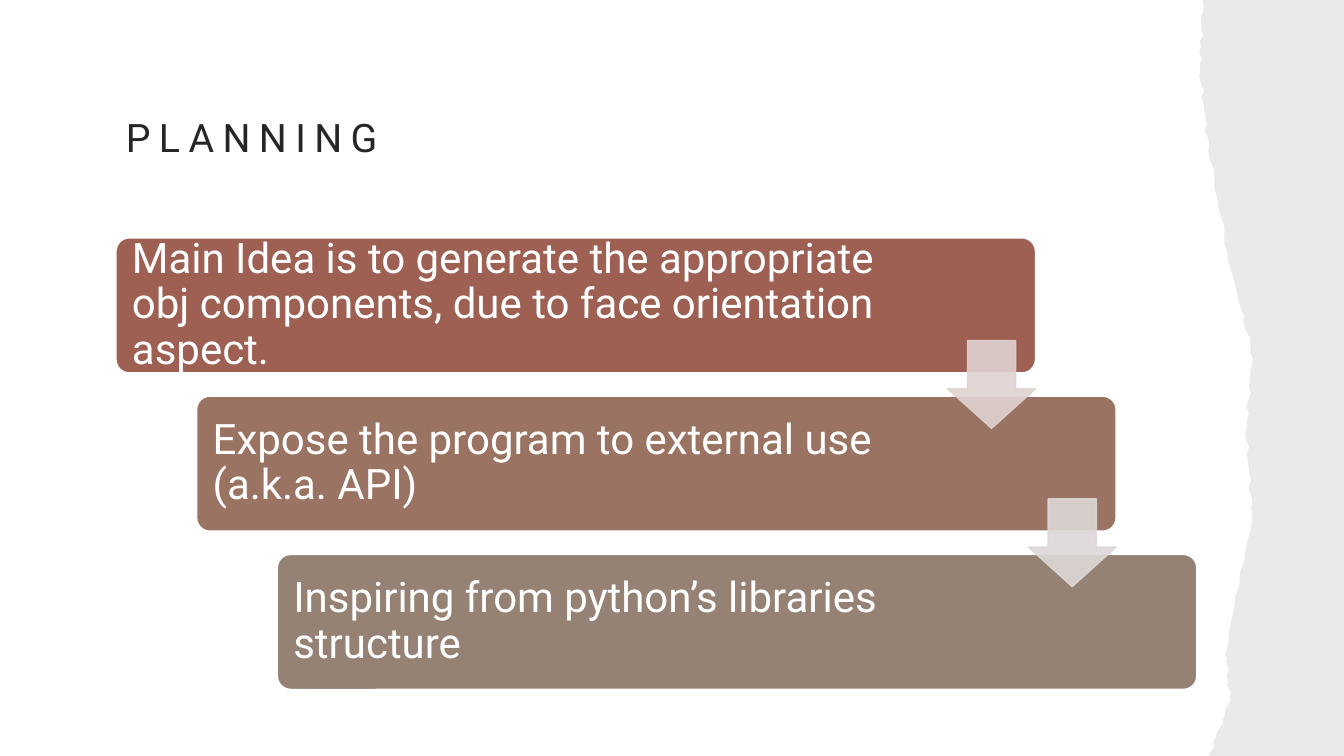
from itertools import pairwise
from math import sin

from lxml import etree
from pptx import Presentation
from pptx.dml.color import RGBColor
from pptx.enum.shapes import MSO_SHAPE
from pptx.enum.text import MSO_ANCHOR, PP_ALIGN
from pptx.oxml.ns import qn
from pptx.util import Inches, Pt

BOX = MSO_SHAPE.ROUNDED_RECTANGLE
ARROW = MSO_SHAPE.DOWN_ARROW
MIDDLE = MSO_ANCHOR.MIDDLE
LEFT = PP_ALIGN.LEFT

WIDTH, HEIGHT = 13.33, 7.5
FONT = "Roboto"
WHITE, INK, PAPER = "FFFFFF", "262626", "82766A"

STEPS = [
    ("Main Idea is to generate the appropriate obj components, "
     "due to face orientation aspect.", "9D6053", 1.5),
    ("Expose the program to external use (a.k.a. API)", "9B7362", 1.8),
    ("Inspiring from python’s libraries structure", "968274", 1.8),
]
ARROWS = ["DFD2D1", "DDD8D6"]
BOX_X, BOX_Y, BOX_W, BOX_H = 1.15, 2.36, 9.12, 1.34
STEP_X, STEP_Y = 0.8, 1.57
SIDE = 0.87
PAD = 0.12

BENDS = [(11.93, 0), (11.9, 0.7), (11.99, 1.5), (12.19, 2.6), (12.42, 3.5),
         (12.36, 4.3), (12.42, 5.1), (12.16, 6.5), (12.2, 6.95), (11.99, 7.5)]
TEETH = 12
ROUGH = 0.01


def paint(fill, color, alpha=100):
    """Give a fill a solid colour with an opacity in percent."""
    fill.solid()
    fill.fore_color.rgb = RGBColor.from_string(color)
    if alpha < 100:
        tint = fill._xPr.find(qn("a:solidFill"))[0]
        etree.SubElement(tint, qn("a:alpha")).set("val", str(alpha * 1000))


def write(shape, text, size, color, space, insets):
    """Put one left-aligned paragraph in a shape and return its run."""
    frame = shape.text_frame
    frame.text = text
    frame.word_wrap = True
    frame.vertical_anchor = MIDDLE
    (frame.margin_left, frame.margin_top,
     frame.margin_right, frame.margin_bottom) = map(Inches, insets)
    para = frame.paragraphs[0]
    para.alignment = LEFT
    para.line_spacing = space
    run = para.runs[0]
    run.font.name = FONT
    run.font.size = Pt(size)
    paint(run.font.fill, color)
    return run


def add_title(slide, text):
    """Add the widely spaced title."""
    box = slide.shapes.add_textbox(
        Inches(1.15), Inches(0.67), Inches(10.4), Inches(1.33))
    run = write(box, text, 28, INK, 1.1, (0.1, 0.05, 0.1, 0.05))
    run.font._element.set("spc", "600")


def tear(bends):
    """Return points along the bends, roughened by two mixed waves."""
    points = []
    for (left, top), (right, low) in pairwise(bends):
        for tooth in range(TEETH):
            part = tooth / TEETH
            y = top + part * (low - top)
            wave = sin(23 * y) + sin(57 * y)
            points.append((left + part * (right - left) + ROUGH * wave, y))
    return points + bends[-1:]


def add_edge(slide):
    """Add the torn paper along the right side."""
    points = tear(BENDS) + [(WIDTH, HEIGHT), (WIDTH, 0)]
    spots = [(Inches(x), Inches(y)) for x, y in points]
    pen = slide.shapes.build_freeform(*spots[0])
    pen.add_line_segments(spots[1:])
    edge = pen.convert_to_shape()
    edge.shadow.inherit = False
    paint(edge.fill, PAPER, 15)
    edge.line.fill.background()


def add_form(slide, kind, place, color, line, alpha=100):
    """Add a preset shape with a thin outline."""
    form = slide.shapes.add_shape(kind, *map(Inches, place))
    form.shadow.inherit = False
    paint(form.fill, color, alpha)
    paint(form.line.fill, line, alpha)
    form.line.width = Pt(1)
    return form


def add_step(slide, row, text, color, right):
    """Add one box of the staircase."""
    place = (BOX_X + row * STEP_X, BOX_Y + row * STEP_Y, BOX_W, BOX_H)
    box = add_form(slide, BOX, place, color, WHITE)
    box.adjustments[0] = 0.1
    write(box, text, 30, WHITE, 0.9, (PAD, PAD, right, PAD))


def add_arrow(slide, row, color):
    """Add the arrow that leads from one box to the next."""
    left = BOX_X + BOX_W - SIDE + row * STEP_X
    top = BOX_Y + 1.02 + row * STEP_Y
    arrow = add_form(slide, ARROW, (left, top, SIDE, SIDE), color, color, 90)
    arrow.adjustments[0] = 0.55
    arrow.adjustments[1] = 0.45


def main():
    """Build the planning slide."""
    deck = Presentation()
    deck.slide_width = Inches(WIDTH)
    deck.slide_height = Inches(HEIGHT)
    slide = deck.slides.add_slide(deck.slide_layouts[6])
    paint(slide.background.fill, WHITE)
    add_title(slide, "PLANNING")
    add_edge(slide)
    for row, step in enumerate(STEPS):
        add_step(slide, row, *step)
    for row, color in enumerate(ARROWS):
        add_arrow(slide, row, color)
    deck.save("out.pptx")


if __name__ == "__main__":
    main()
